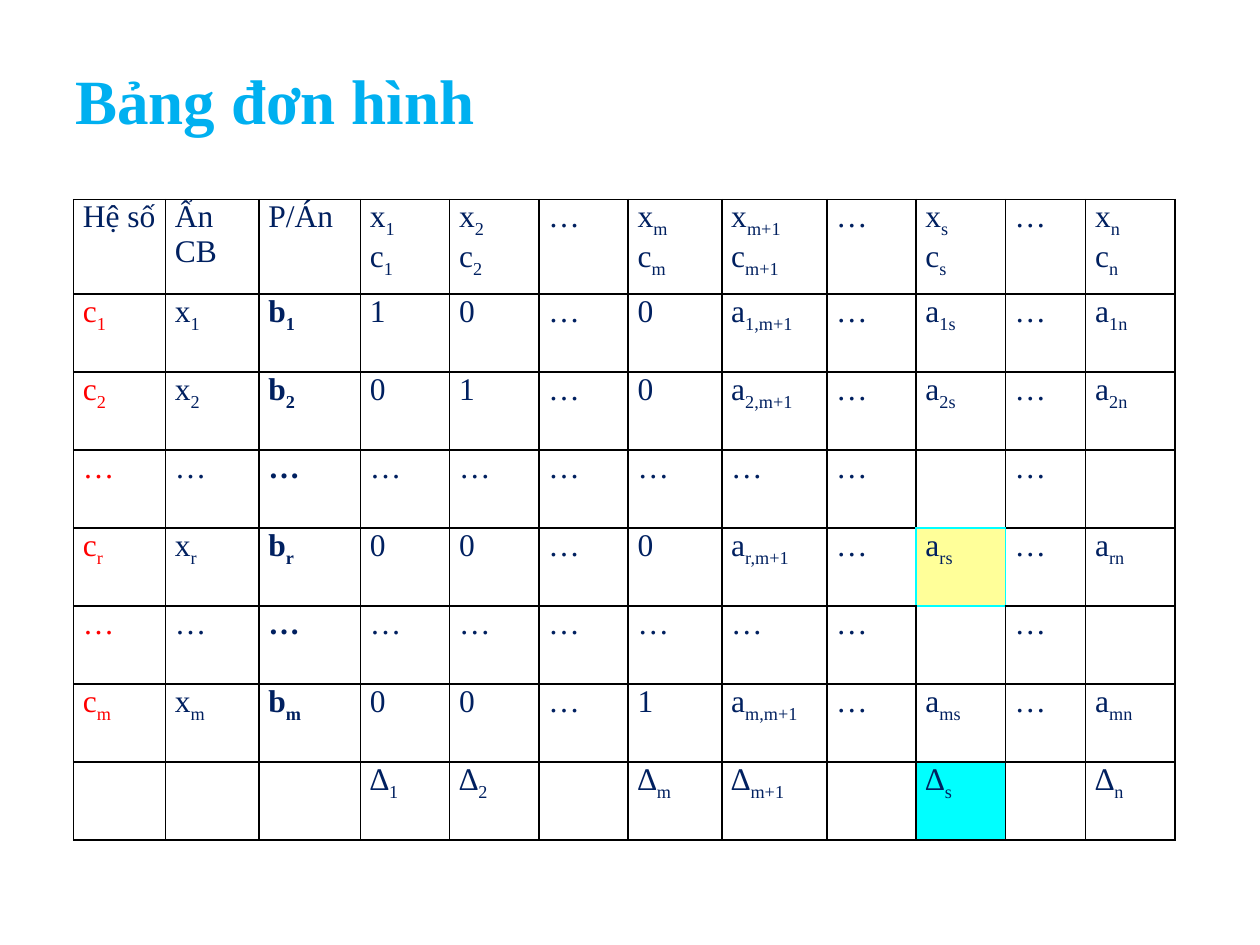
from lxml import etree
from pptx import Presentation
from pptx.dml.color import RGBColor
from pptx.enum.text import MSO_ANCHOR, PP_ALIGN
from pptx.oxml.ns import qn
from pptx.util import Pt

MIDDLE = MSO_ANCHOR.MIDDLE
JUSTIFY = PP_ALIGN.JUSTIFY

FONT = "Times New Roman"
SKY = RGBColor(0x00, 0xB0, 0xF0)
NAVY = RGBColor(0x00, 0x20, 0x60)
RED = RGBColor(0xFF, 0x00, 0x00)
BLACK = RGBColor(0x00, 0x00, 0x00)
CYAN = RGBColor(0x00, 0xFF, 0xFF)
YELLOW = RGBColor(0xFF, 0xFF, 0x99)


def add_span(para, text, size, color, bold=False):
    span = para.add_run()
    span.text = text
    span.font.name = FONT
    span.font.size = Pt(size)
    span.font.bold = bold
    span.font.color.rgb = color
    return span


def add_border(cell, position, side, color):
    line = etree.Element(qn("a:ln" + side), w=str(Pt(1)))
    fill = etree.SubElement(line, qn("a:solidFill"))
    etree.SubElement(fill, qn("a:srgbClr"), val=str(color))
    cell._tc.get_or_add_tcPr().insert(position, line)


deck = Presentation()
deck.slide_width, deck.slide_height = Pt(720), Pt(540)
page = deck.slides.add_slide(deck.slide_layouts[6])

# Title
box = page.shapes.add_textbox(Pt(36), Pt(30), Pt(648), Pt(54))
box.text_frame.word_wrap = True
box.text_frame.vertical_anchor = MIDDLE
add_span(box.text_frame.paragraphs[0], "Bảng đơn hình", 36, SKY, bold=True)

# Table wording: "|" parts cells, "/" parts lines, "_" starts a subscript
header = ["Hệ số", "Ẩn CB", "P∕Án".replace("∕", "\\"), "x_1/c_1", "x_2/c_2", "…",
          "x_m/c_m", "x_m+1/c_m+1", "…", "x_s/c_s", "…", "x_n/c_n"]
header[2] = "P/Án"
UNIT_COLUMNS = {"1": "1|0|…|0", "2": "0|1|…|0", "r": "0|0|…|0", "m": "0|0|…|1"}
variable_rows = {
    i: f"c_{i}|x_{i}|b_{i}|{unit}|a_{i},m+1|…|a_{i}s|…|a_{i}n".split("|")
    for i, unit in UNIT_COLUMNS.items()
}
dots = ["…"] * 9 + ["", "…", ""]
deltas = "|||∆_1|∆_2||∆_m|∆_m+1||∆_s||∆_n".split("|")
rows = [header, variable_rows["1"], variable_rows["2"], dots,
        variable_rows["r"], dots, variable_rows["m"], deltas]

# Table grid
widths = [52.5, 53.5, 58, 51, 51, 51, 53.5, 60, 51, 51, 46, 51]
heights = [54] + [44.6] * 7
frame = page.shapes.add_table(len(rows), len(widths), Pt(42), Pt(114),
                              Pt(sum(widths)), Pt(sum(heights)))
table = frame.table
table.first_row = table.horz_banding = False
for column, width in zip(table.columns, widths):
    column.width = Pt(width)
for row, height in zip(table.rows, heights):
    row.height = Pt(height)

# Cells
PIVOT = (4, 9)
FILLS = {PIVOT: YELLOW, (7, 9): CYAN}
NEIGHBOURS = {"L": (0, -1), "R": (0, 1), "T": (-1, 0), "B": (1, 0)}
for r, texts in enumerate(rows):
    for c, text in enumerate(texts):
        cell = table.cell(r, c)
        cell.margin_left = cell.margin_right = Pt(5.4)
        cell.margin_top = cell.margin_bottom = 0
        if (r, c) in FILLS:
            cell.fill.solid()
            cell.fill.fore_color.rgb = FILLS[r, c]
        else:
            cell.fill.background()

        # Borders: cyan on every edge that touches the pivot cell
        for position, (side, (down, across)) in enumerate(NEIGHBOURS.items()):
            touches = PIVOT in ((r, c), (r + down, c + across))
            add_border(cell, position, side, CYAN if touches else BLACK)

        # Text
        color = RED if c == 0 and r > 0 else NAVY
        bold = c == 2 and r > 0
        lines = text.split("/") if "_" in text else [text]
        for n, line in enumerate(lines):
            para = cell.text_frame.add_paragraph() if n else cell.text_frame.paragraphs[0]
            para.alignment = JUSTIFY
            para.font.size = Pt(18)
            base, _, subscript = line.partition("_")
            if base:
                add_span(para, base, 18, color, bold)
            if subscript:
                span = add_span(para, subscript, 18, color, bold)
                span.font._element.set("baseline", "-25000")

deck.save("out.pptx")
